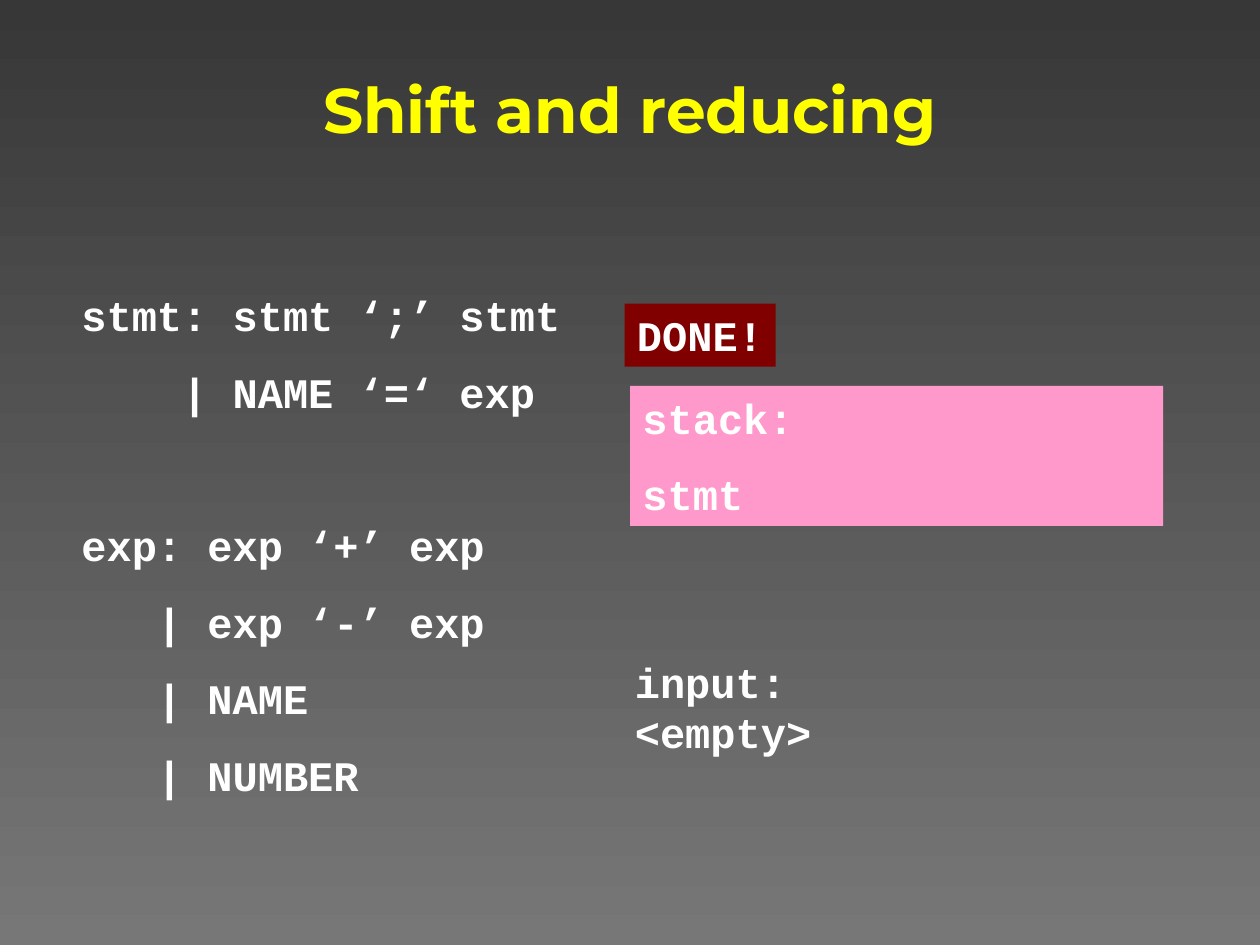
from pptx import Presentation
from pptx.dml.color import RGBColor
from pptx.enum.shapes import MSO_SHAPE
from pptx.enum.text import MSO_ANCHOR, PP_ALIGN
from pptx.util import Pt

COLORS = {
    "top": "373737",
    "bottom": "777777",
    "title": "FFFF00",
    "text": "FFFFFF",
    "stack": "FF99CC",
    "done": "800000",
}
GAP = 15  # space between spread-out lines
LINE = 28.8  # height of one code line

RULES = [
    ["stmt: stmt ‘;’ stmt", "    | NAME ‘=‘ exp"],
    ["exp: exp ‘+’ exp", "   | exp ‘-’ exp", "   | NAME", "   | NUMBER"],
]


def color(name):
    return RGBColor.from_string(COLORS[name])


def add_line(frame, text, first=False, before=0, font="Courier New",
             size=24, tint="text", align=PP_ALIGN.LEFT):
    para = frame.paragraphs[0] if first else frame.add_paragraph()
    para.alignment = align
    para.space_before = Pt(0 if first else before)
    run = para.add_run()
    run.text = text
    run.font.name = font
    run.font.size = Pt(size)
    run.font.bold = True
    run.font.color.rgb = color(tint)


def add_box(slide, box, fill=None, wrap=True, anchor=MSO_ANCHOR.TOP):
    place = [Pt(v) for v in box]
    if fill:
        shape = slide.shapes.add_shape(MSO_SHAPE.RECTANGLE, *place)
        shape.shadow.inherit = False
        shape.fill.solid()
        shape.fill.fore_color.rgb = color(fill)
        shape.line.fill.background()
    else:
        shape = slide.shapes.add_textbox(*place)
    frame = shape.text_frame
    frame.word_wrap = wrap
    frame.vertical_anchor = anchor
    return frame


def paint_back(slide):
    fill = slide.background.fill
    fill.gradient()
    fill.gradient_angle = 270
    for stop, name, spot in zip(fill.gradient_stops, ("top", "bottom"), (0, 1)):
        stop.color.rgb = color(name)
        stop.position = spot


def add_title(slide, box):
    frame = add_box(slide, box, anchor=MSO_ANCHOR.MIDDLE)
    add_line(frame, "Shift and reducing", first=True, font="Montserrat",
             size=36, tint="title", align=PP_ALIGN.CENTER)


def add_rules(slide, box):
    frame = add_box(slide, box)
    for i, rule in enumerate(RULES):
        for j, text in enumerate(rule):
            # A new rule starts one line further down
            before = GAP if j else 2 * GAP + LINE
            add_line(frame, text, first=i + j == 0, before=before)


def add_state(slide, box):
    left, top, width, height = box
    # Input still to read
    frame = add_box(slide, (left, top + 198, 115.2, 64.8), wrap=False)
    add_line(frame, "input:", first=True)
    add_line(frame, "<empty>")
    # Parser stack
    frame = add_box(slide, (left + 4.3, top + 47, width - 4.3, 80), fill="stack")
    add_line(frame, "stack:", first=True)
    add_line(frame, "stmt", before=GAP)
    # Outcome
    frame = add_box(slide, (left + 1.2, top, 86.4, 36), fill="done", wrap=False)
    add_line(frame, "DONE!", first=True)


def main():
    deck = Presentation()
    deck.slide_width, deck.slide_height = Pt(720), Pt(540)
    slide = deck.slides.add_slide(deck.slide_layouts[6])
    paint_back(slide)
    add_title(slide, (21, 26, 678, 72))
    add_rules(slide, (39.4, 162, 289, 298.8))
    add_state(slide, (355.7, 173.5, 309, 262.8))
    deck.save("out.pptx")


if __name__ == "__main__":
    main()
